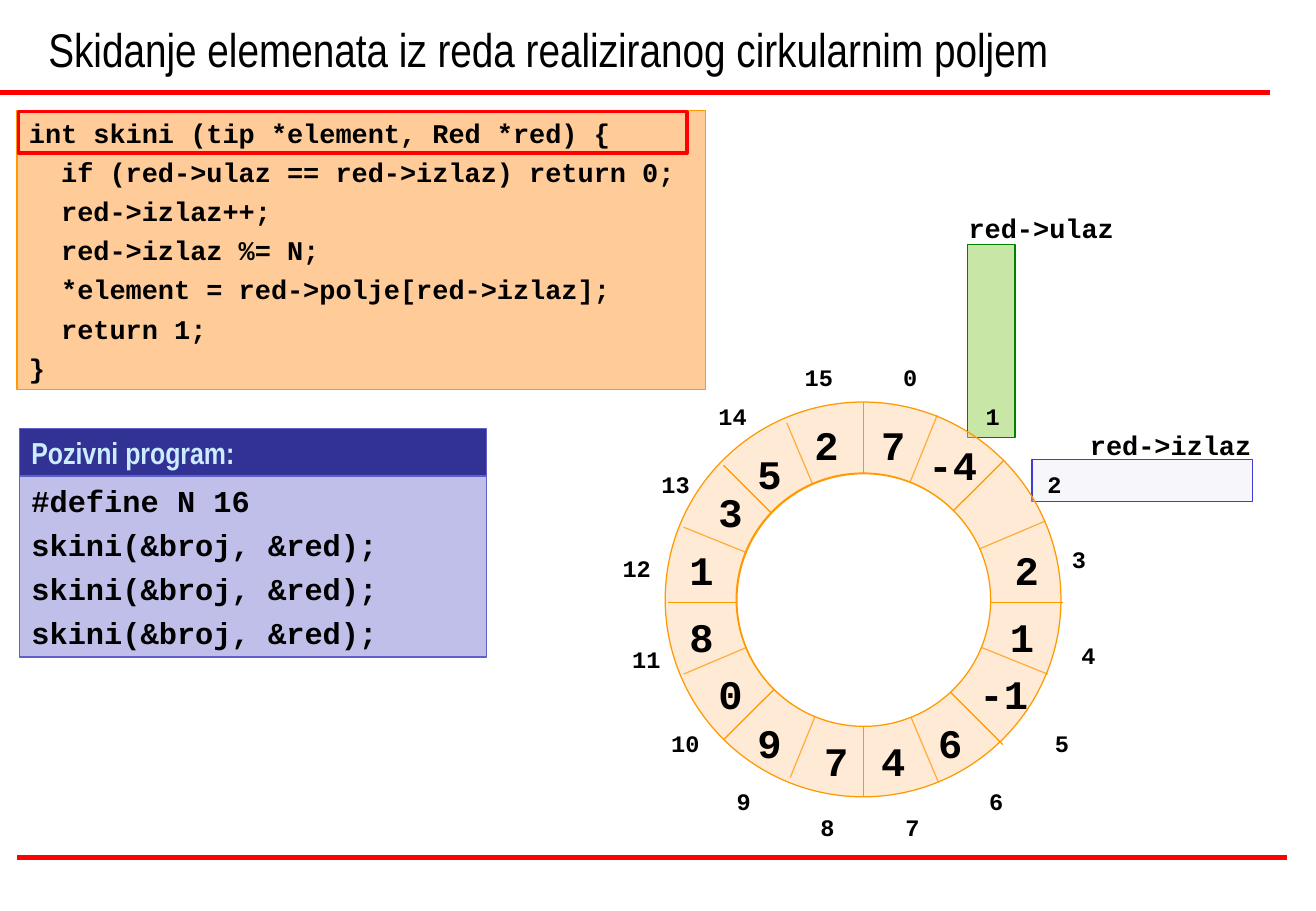
"""Slide on removing elements from a queue kept in a circular array."""
from pptx import Presentation
from pptx.dml.color import RGBColor
from pptx.enum.shapes import MSO_CONNECTOR, MSO_SHAPE
from pptx.enum.text import MSO_ANCHOR, PP_ALIGN
from pptx.oxml.ns import qn
from pptx.util import Inches, Pt
from lxml import etree

RECT, OVAL, DONUT = MSO_SHAPE.RECTANGLE, MSO_SHAPE.OVAL, MSO_SHAPE.DONUT
STRAIGHT = MSO_CONNECTOR.STRAIGHT
TOP, MIDDLE, BOTTOM = MSO_ANCHOR.TOP, MSO_ANCHOR.MIDDLE, MSO_ANCHOR.BOTTOM
LEFT = PP_ALIGN.LEFT
MONO, NARROW = "Courier New", "Arial Narrow"
BLACK, RED, ORANGE, PEACH = "000000", "FF0000", "FF9900", "FFCC99"
VIOLET = "6060C9"

TITLE = "Skidanje elemenata iz reda realiziranog cirkularnim poljem"
CODE = [
    "int skini (tip *element, Red *red) {",
    "  if (red->ulaz == red->izlaz) return 0;",
    "  red->izlaz++;",
    "  red->izlaz %= N;",
    "  *element = red->polje[red->izlaz];",
    "  return 1;",
    "}",
]
CALLER_TITLE = "Pozivni program:"
CALLER = ["#define N 16"] + ["skini(&broj, &red);"] * 3
RULES = [(0, 0.76, 10.46, 0.76), (0.14, 7.06, 10.6, 7.06)]
POINTERS = [("red->ulaz", 7.88, 1.69, 1.39), ("red->izlaz", 8.88, 3.48, 1.53)]

INDEX_PLACES = [
    (7.34, 2.94), (8.02, 3.26), (8.53, 3.82), (8.73, 4.44),
    (8.81, 5.23), (8.59, 5.95), (8.05, 6.43), (7.36, 6.64),
    (6.66, 6.64), (5.97, 6.43), (5.43, 5.95), (5.11, 5.26),
    (5.03, 4.51), (5.35, 3.82), (5.82, 3.26), (6.53, 2.94),
]
VALUES = [
    ("7", 7.16, 3.41), ("-4", 7.55, 3.57), ("2", 8.26, 4.44),
    ("1", 8.22, 4.99), ("-1", 7.97, 5.46), ("6", 7.63, 5.86),
    ("4", 7.16, 6.01), ("7", 6.69, 6.01), ("9", 6.14, 5.86),
    ("0", 5.82, 5.46), ("8", 5.58, 4.99), ("1", 5.58, 4.44),
    ("3", 5.82, 3.96), ("5", 6.14, 3.65), ("2", 6.61, 3.41),
]
BACK_SPOKES = [
    (7.72, 3.42, 6.51, 6.4), (8.63, 5.55, 5.63, 4.34),
    (8.61, 4.29, 5.63, 5.55), (7.73, 6.44, 6.48, 3.48),
]
FRONT_SPOKES = [
    (7.11, 3.31, 7.11, 6.56), (8.76, 4.96, 5.5, 4.96),
    (8.27, 3.79, 5.96, 6.09), (8.26, 6.13, 5.96, 3.83),
]


def colour(code):
    """Turn a hex string into a colour."""
    return RGBColor.from_string(code)


def add_line(page, ends, code, width):
    """Draw a straight line without a shadow."""
    line = page.shapes.add_connector(STRAIGHT, *map(Inches, ends))
    line.line.color.rgb = colour(code)
    line.line.width = Pt(width)
    etree.SubElement(line.element.spPr, qn("a:effectLst"))


def add_figure(page, kind, place, fill, outline, width=0.75, opacity=100):
    """Draw a preset shape with its fill and outline."""
    figure = page.shapes.add_shape(kind, *map(Inches, place))
    figure.shadow.inherit = False
    figure.line.color.rgb = colour(outline)
    figure.line.width = Pt(width)
    if fill is None:
        figure.fill.background()
        return figure
    figure.fill.solid()
    figure.fill.fore_color.rgb = colour(fill)
    if opacity < 100:
        tone = figure.element.spPr.find(qn("a:solidFill"))[0]
        etree.SubElement(tone, qn("a:alpha"), val=str(opacity * 1000))
    return figure


def write(box, lines, size, gap=0, font=MONO, code=BLACK, bold=True,
          anchor=TOP, right=0.1):
    """Fill a shape with left-aligned lines set a fixed gap apart."""
    frame = box.text_frame
    frame.word_wrap = True
    frame.vertical_anchor = anchor
    frame.margin_left, frame.margin_right = Inches(0.1), Inches(right)
    frame.margin_top = frame.margin_bottom = Inches(0.05)
    for number, line in enumerate(lines):
        para = frame.add_paragraph() if number else frame.paragraphs[0]
        para.alignment = LEFT
        para.space_before = Pt(gap if number else 0)
        span = para.add_run()
        span.text = line
        span.font.name = font
        span.font.size = Pt(size)
        span.font.bold = bold
        span.font.color.rgb = colour(code)


def add_label(page, text, place, size):
    """Place a one-line label with spare room on its right."""
    box = page.shapes.add_textbox(*map(Inches, place))
    write(box, [text], size, right=0)


def add_ring(page):
    """Draw the circular array with its indexes and values."""
    for ends in BACK_SPOKES:
        add_line(page, ends, ORANGE, 0.75)
    ring = add_figure(page, DONUT, (5.48, 3.31, 3.26, 3.25), PEACH, ORANGE,
                      opacity=40)
    ring.adjustments[0] = 0.18
    for ends in FRONT_SPOKES:
        add_line(page, ends, ORANGE, 0.75)
    add_figure(page, OVAL, (6.07, 3.9, 2.09, 2.08), "FFFFFF", ORANGE)
    for index, (left, top) in enumerate(INDEX_PLACES):
        width = 0.31 if index < 10 else 0.43
        add_label(page, str(index), (left, top, width, 0.34), 14)
    for value, left, top in VALUES:
        add_label(page, value, (left, top, 0.2 + 0.2 * len(value), 0.5), 24)


def main():
    """Build the slide and save it."""
    deck = Presentation()
    deck.slide_width, deck.slide_height = Inches(10.84), Inches(7.5)
    page = deck.slides.add_slide(deck.slide_layouts[6])

    for ends in RULES:
        add_line(page, ends, RED, 3)
    title = page.shapes.add_textbox(*map(Inches, (0.3, 0, 10.16, 0.68)))
    write(title, [TITLE], 28, font=NARROW, bold=False, anchor=BOTTOM)

    code_box = add_figure(page, RECT, (0.14, 0.91, 5.67, 2.3), PEACH, ORANGE)
    write(code_box, CODE, 16, 4)
    add_figure(page, RECT, (0.15, 0.92, 5.51, 0.34), None, RED, 2)

    add_figure(page, RECT, (7.97, 2.01, 0.39, 1.59), "92D050", "008000",
               opacity=50)
    add_figure(page, RECT, (8.5, 3.78, 1.82, 0.35), "EEEEF9", "3D3DD7",
               opacity=50)
    for name, left, top, width in POINTERS:
        add_label(page, name, (left, top, width, 0.37), 16)
    add_ring(page)

    header = add_figure(page, RECT, (0.16, 3.53, 3.85, 0.39), "323294", VIOLET)
    write(header, [CALLER_TITLE], 18, font=NARROW, code="CCECFF",
          anchor=MIDDLE)
    caller_box = add_figure(page, RECT, (0.16, 3.92, 3.85, 1.49), VIOLET,
                            VIOLET, opacity=40)
    write(caller_box, CALLER, 18, 4.5)

    deck.save("out.pptx")


if __name__ == "__main__":
    main()
